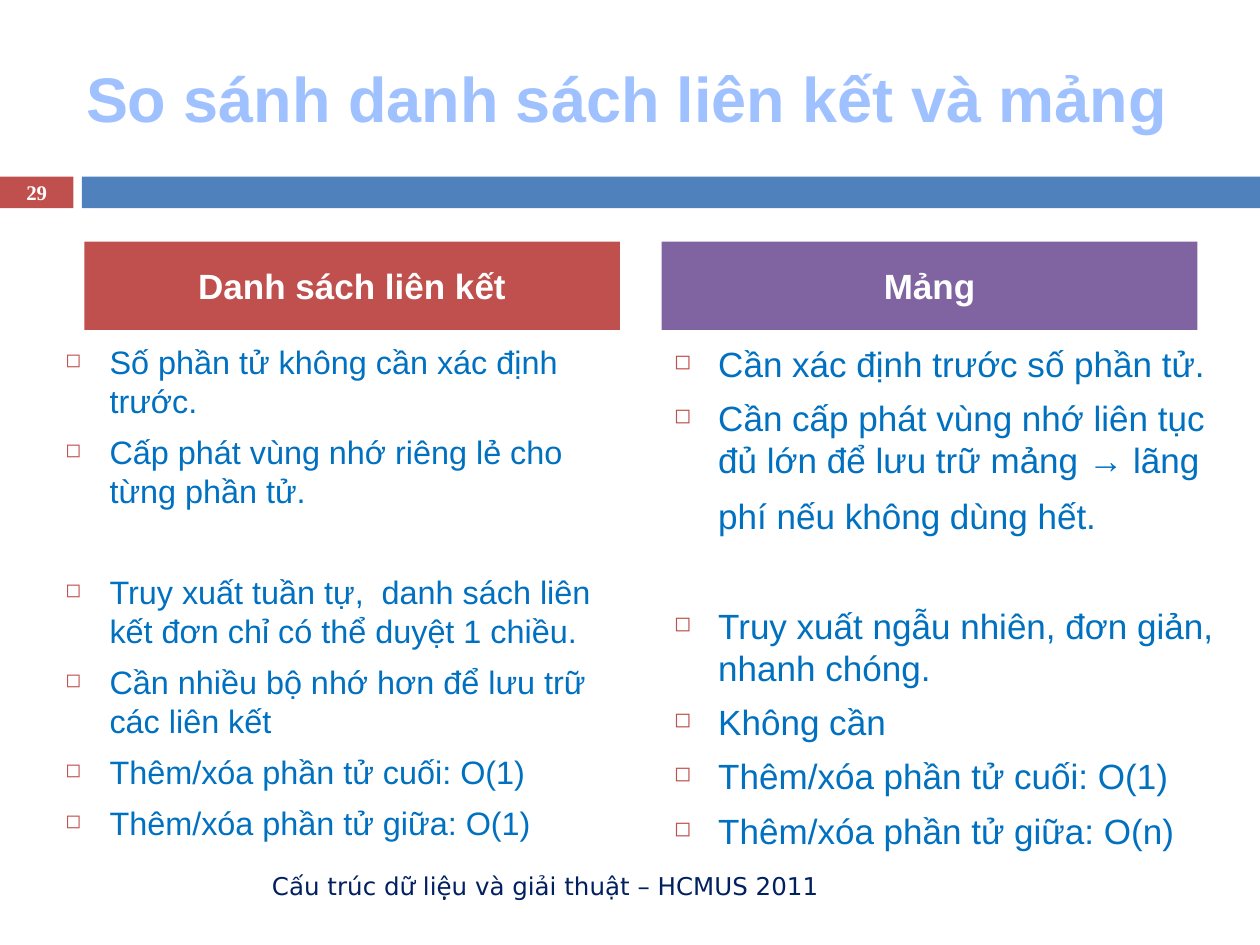
from lxml import etree
from pptx import Presentation
from pptx import util as u
from pptx.dml import color
from pptx.enum import shapes, text
from pptx.oxml import ns

Cm, Pt = u.Cm, u.Pt
RED, BLUE, PURPLE, WHITE = "C0504D", "4F81BD", "8064A2", "FFFFFF"
BODY, NAVY, TITLE = "0070C0", "002060", "A0C1FF"


def rgb(value):
    return color.RGBColor.from_string(value)


class Painter:
    font = "Arial"
    indent = Cm(0.89)
    gap = 7

    def __init__(self, deck):
        self.page = deck.slides.add_slide(deck.slide_layouts[5])

    def span(self, para, words, size, ink, bold=False, font=None):
        span = para.add_run()
        span.text = words
        span.font.name = font or self.font
        span.font.size = Pt(size)
        span.font.bold = bold
        span.font.color.rgb = rgb(ink)

    def title(self, words, left, top, width, height):
        box = self.page.shapes.title
        box.left, box.top, box.width, box.height = Cm(left), Cm(top), Cm(width), Cm(height)
        frame = box.text_frame
        frame.auto_size = text.MSO_AUTO_SIZE.NONE
        frame.vertical_anchor = text.MSO_ANCHOR.MIDDLE
        para = frame.paragraphs[0]
        para.alignment = text.PP_ALIGN.LEFT
        self.span(para, words, 36, TITLE, bold=True)

    def bar(self, fill, left, top, width, height):
        box = self.page.shapes.add_shape(
            shapes.MSO_SHAPE.RECTANGLE, Cm(left), Cm(top), Cm(width), Cm(height))
        box.shadow.inherit = False
        box.fill.solid()
        box.fill.fore_color.rgb = rgb(fill)
        box.line.fill.background()
        return box

    def heading(self, words, fill, left, top, width, height):
        frame = self.bar(fill, left, top, width, height).text_frame
        frame.vertical_anchor = text.MSO_ANCHOR.MIDDLE
        para = frame.paragraphs[0]
        para.alignment = text.PP_ALIGN.CENTER
        self.span(para, words, 20, WHITE, bold=True)

    def frame(self, left, top, width, height):
        box = self.page.shapes.add_textbox(Cm(left), Cm(top), Cm(width), Cm(height))
        box.text_frame.word_wrap = True
        return box.text_frame

    def label(self, words, size, ink, font, align, left, top, width, height, bold=False):
        frame = self.frame(left, top, width, height)
        frame.vertical_anchor = text.MSO_ANCHOR.MIDDLE
        para = frame.paragraphs[0]
        para.alignment = align
        self.span(para, words, size, ink, bold, font)

    def bullet(self, para):
        props = para._p.get_or_add_pPr()
        props.set("marL", str(self.indent))
        props.set("indent", str(-self.indent))
        tint = etree.SubElement(props, ns.qn("a:buClr"))
        etree.SubElement(tint, ns.qn("a:srgbClr")).set("val", RED)
        etree.SubElement(props, ns.qn("a:buSzPct")).set("val", "60000")
        etree.SubElement(props, ns.qn("a:buChar")).set("char", "◻")

    def bullets(self, groups, size, left, top, width, height):
        frame = self.frame(left, top, width, height)
        group_gap = 2 * self.gap + 1.15 * size
        para = None
        for group in groups:
            for index, item in enumerate(group):
                first = para is None
                para = frame.paragraphs[0] if first else frame.add_paragraph()
                self.bullet(para)
                if not first:
                    para.space_before = Pt(self.gap if index else group_gap)
                for words, options in item:
                    self.span(para, words, **{"size": size, "ink": BODY, **options})


def plain(*lines):
    return [[(line, {})] for line in lines]


LINKED_LIST = [
    plain("Số phần tử không cần xác định trước.",
          "Cấp phát vùng nhớ riêng lẻ cho từng phần tử."),
    plain("Truy xuất tuần tự,  danh sách liên kết đơn chỉ có thể duyệt 1 chiều.",
          "Cần nhiều bộ nhớ hơn để lưu trữ các liên kết",
          "Thêm/xóa phần tử cuối: O(1)",
          "Thêm/xóa phần tử giữa: O(1)"),
]
ARRAY = [
    plain("Cần xác định trước số phần tử.") + [[
        ("Cần cấp phát vùng nhớ liên tục đủ lớn để lưu trữ mảng ", {}),
        ("→", {"bold": True}),
        (" lãng phí nếu không dùng hết.", {}),
        (" ", {"size": 28})]],
    plain("Truy xuất ngẫu nhiên, đơn giản, nhanh chóng.",
          "Không cần",
          "Thêm/xóa phần tử cuối: O(1)",
          "Thêm/xóa phần tử giữa: O(n)"),
]


def main():
    deck = Presentation()
    deck.slide_width, deck.slide_height = Cm(25.4), Cm(19.05)
    painter = Painter(deck)
    painter.bar(RED, 0, 3.56, 1.48, 0.64)
    painter.bar(BLUE, 1.65, 3.56, 23.75, 0.64)
    painter.title("So sánh danh sách liên kết và mảng", 1.48, 0.76, 22.66, 2.41)
    painter.label("29", 11.9, WHITE, "Times New Roman", text.PP_ALIGN.CENTER,
                  0, 3.53, 1.48, 0.69, bold=True)
    painter.label("Cấu trúc dữ liệu và giải thuật – HCMUS 2011", 14, NAVY, "DejaVu Sans",
                  text.PP_ALIGN.RIGHT, 1.7, 17.35, 15.06, 1.02)
    painter.heading("Danh sách liên kết", RED, 1.7, 4.87, 10.8, 1.78)
    painter.heading("Mảng", PURPLE, 13.34, 4.87, 10.8, 1.78)
    painter.bullets(LINKED_LIST, 18.5, 1.07, 6.78, 11.43, 9.96)
    painter.bullets(ARRAY, 20, 13.34, 6.78, 11.63, 9.96)
    deck.save("out.pptx")


if __name__ == "__main__":
    main()
